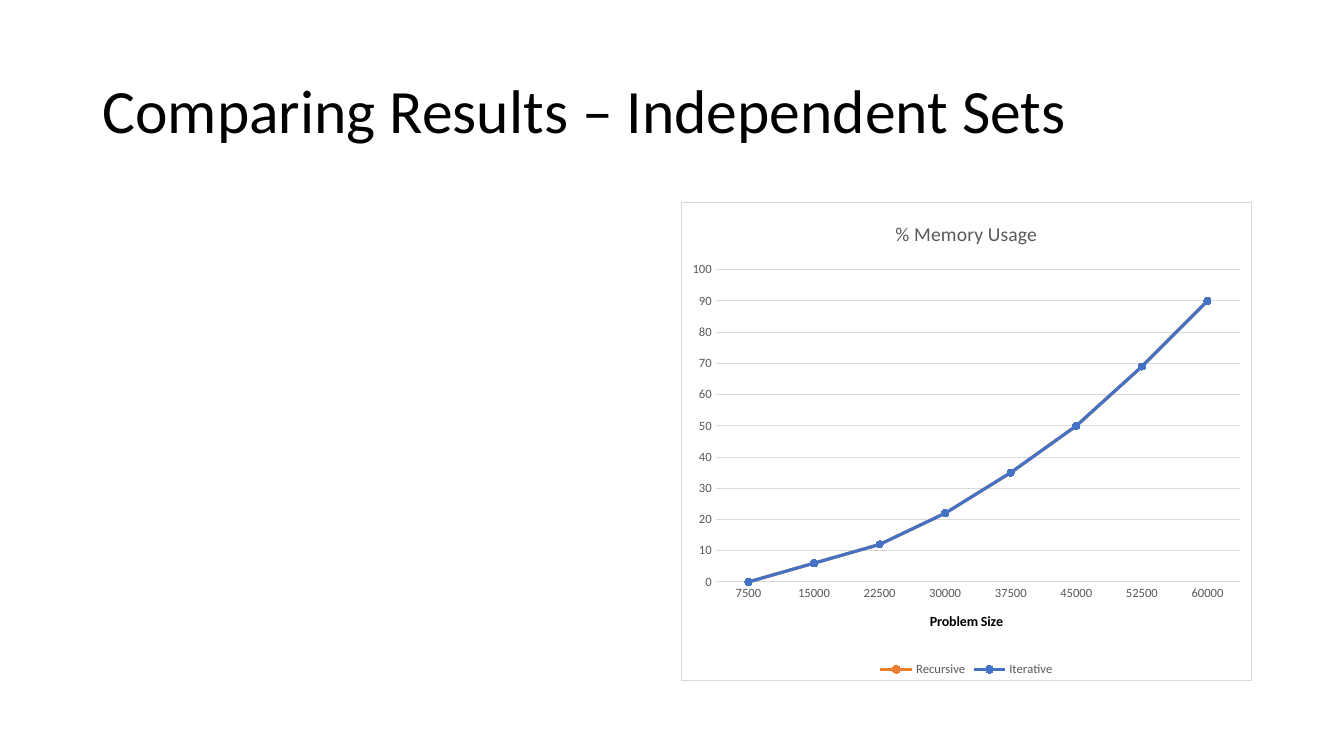
from lxml.etree import SubElement
from pptx import Presentation
from pptx.chart.data import CategoryChartData
from pptx.dml.color import RGBColor
from pptx.enum.chart import XL_CHART_TYPE, XL_LEGEND_POSITION, XL_MARKER_STYLE, XL_TICK_MARK
from pptx.enum.text import MSO_ANCHOR
from pptx.oxml import parse_xml
from pptx.oxml.ns import nsdecls, qn
from pptx.util import Inches, Pt

# Content
TITLE = "Comparing Results – Independent Sets"
CHART_TITLE = "% Memory Usage"
AXIS_TITLE = "Problem Size"
PROBLEM_SIZES = [str(7500 * step) for step in range(1, 9)]
SERIES = [
    ("Recursive", "ED7D31", (0, 6, 12, 22, 35, 50, 69, 90)),
    ("Iterative", "4472C4", (0, 6, 12, 22, 35, 50, 69, 90)),
]

# Format and layout, in inches
FONT = "Calibri"
BLACK, GREY, LIGHT, WHITE = "000000", "595959", "D9D9D9", "FFFFFF"
WIDTH, HEIGHT = 13.33, 7.5
TITLE_BOX = (0.92, 0.4, 11.5, 1.45)
CHART_BOX = (6.75, 2, 5.67, 4.76)


def color(value):
    return RGBColor.from_string(value)


def style_font(font, size, tone=GREY, bold=False):
    font.name, font.size, font.bold = FONT, Pt(size), bold
    font.color.rgb = color(tone)


def style_line(line, tone, width=0.75):
    line.color.rgb = color(tone)
    line.width = Pt(width)


def write_text(frame, text, size, tone=GREY, bold=False, spacing=None):
    paragraph = frame.paragraphs[0]
    paragraph.line_spacing = spacing
    run = paragraph.add_run()
    run.text = text
    style_font(run.font, size, tone, bold)


def add_title(slide):
    frame = slide.shapes.add_textbox(*map(Inches, TITLE_BOX)).text_frame
    frame.word_wrap = True
    frame.vertical_anchor = MSO_ANCHOR.MIDDLE
    write_text(frame, TITLE, 44, BLACK, spacing=0.9)


def frame_chart(chart):
    """Give the chart area a white fill and a thin border."""
    properties = parse_xml(f"<c:spPr {nsdecls('c', 'a')}/>")
    border = None
    for parent_tag, tone in (("a:solidFill", WHITE), ("a:ln", LIGHT)):
        part = SubElement(properties, qn(parent_tag))
        if parent_tag == "a:ln":
            part.set("w", str(Pt(0.75)))
            part = SubElement(part, qn("a:solidFill"))
        SubElement(part, qn("a:srgbClr")).set("val", tone)
    chart.element.find(qn("c:chart")).addnext(properties)


def add_memory_chart(slide):
    data = CategoryChartData()
    data.categories = PROBLEM_SIZES
    for name, _, values in SERIES:
        data.add_series(name, values)
    chart = slide.shapes.add_chart(
        XL_CHART_TYPE.LINE_MARKERS, *map(Inches, CHART_BOX), data).chart
    style_font(chart.font, 10, BLACK)
    frame_chart(chart)

    # Titles and legend
    write_text(chart.chart_title.text_frame, CHART_TITLE, 14)
    chart.chart_title.include_in_layout = False
    chart.has_legend = True
    chart.legend.position = XL_LEGEND_POSITION.BOTTOM
    chart.legend.include_in_layout = False
    style_font(chart.legend.font, 9)

    # Axes
    sizes, usage = chart.category_axis, chart.value_axis
    for axis in (sizes, usage):
        axis.major_tick_mark = axis.minor_tick_mark = XL_TICK_MARK.NONE
        style_font(axis.tick_labels.font, 9)
    write_text(sizes.axis_title.text_frame, AXIS_TITLE, 10, BLACK, bold=True)
    style_line(sizes.format.line, LIGHT)
    usage.minimum_scale, usage.maximum_scale, usage.major_unit = 0, 100, 10
    usage.format.line.fill.background()
    usage.has_major_gridlines = True
    style_line(usage.major_gridlines.format.line, LIGHT)

    # Lines and markers
    chart.plots[0].vary_by_categories = False
    for series, (_, tone, _) in zip(chart.plots[0].series, SERIES):
        series.smooth = False
        style_line(series.format.line, tone, 2.25)
        series.marker.style = XL_MARKER_STYLE.CIRCLE
        series.marker.size = 5
        series.marker.format.fill.solid()
        series.marker.format.fill.fore_color.rgb = color(tone)
        style_line(series.marker.format.line, tone)


def main():
    presentation = Presentation()
    presentation.slide_width, presentation.slide_height = Inches(WIDTH), Inches(HEIGHT)
    slide = presentation.slides.add_slide(presentation.slide_layouts[6])
    add_title(slide)
    add_memory_chart(slide)
    presentation.save("out.pptx")


if __name__ == "__main__":
    main()
